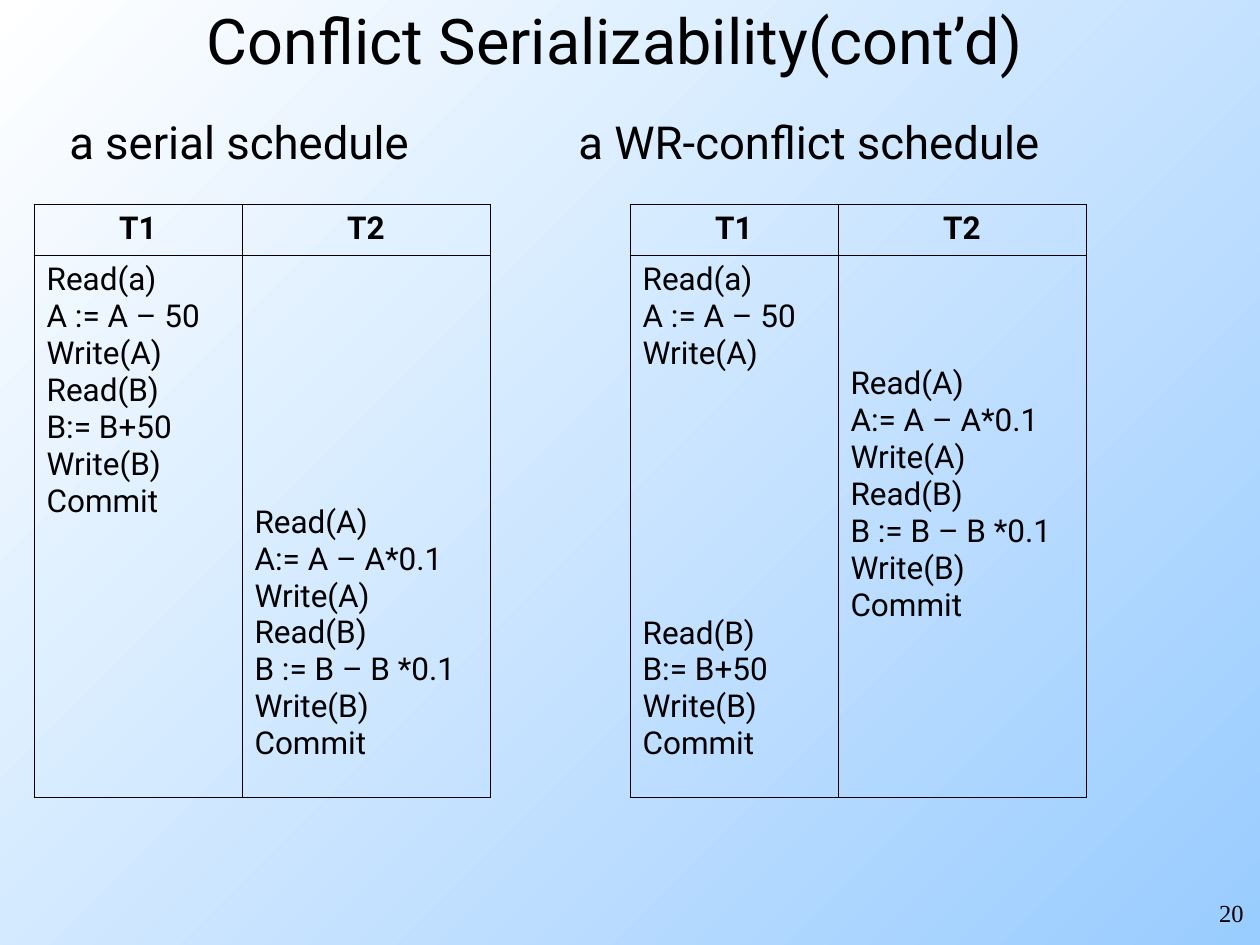
import pptx
import pptx.util
import pptx.dml.color
import pptx.enum.text
import pptx.oxml
import pptx.oxml.ns

Pt = pptx.util.Pt
Align = pptx.enum.text.PP_ALIGN
Anchor = pptx.enum.text.MSO_ANCHOR


def hue(code):
    return pptx.dml.color.RGBColor.from_string(code)


def write(frame, lines, look, align=Align.LEFT):
    for i, line in enumerate(lines):
        para = frame.paragraphs[0] if i == 0 else frame.add_paragraph()
        para.text = line
        para.alignment = align
        for key, value in look.items():
            setattr(para.runs[0].font, key, value)
        para.runs[0].font.color.rgb = hue("000000")


# Slide, with lengths as hundredths of its size
deck = pptx.Presentation()
deck.slide_width = pptx.util.Inches(10)
deck.slide_height = pptx.util.Inches(7.5)
col, row = deck.slide_width / 100, deck.slide_height / 100
slide = deck.slides.add_slide(deck.slide_layouts[5])

# Background runs from white to blue across the diagonal
fill = slide.background.fill
fill.gradient()
fill.gradient_angle = 315
for stop, code in zip(fill.gradient_stops, ("FFFFFF", "99CCFF")):
    stop.color.rgb = hue(code)

# Text formats
big = {"name": "Roboto", "size": Pt(36), "bold": False}
mid = {"name": "Roboto", "size": Pt(26), "bold": False}
body = {"name": "Roboto", "size": Pt(18), "bold": False}
head = {**body, "bold": True}
page = {"name": "Times New Roman", "size": Pt(14), "bold": False}
flush = {"margin_left": 0, "margin_right": 0, "margin_top": 0,
         "margin_bottom": 0, "word_wrap": True}

# Title, headings and page number: shape, place, text, format, alignment
title = slide.shapes.title
texts = [
    (title, (6.3, 0, 85, 8.4), "Conflict Serializability(cont’d)", big, Align.CENTER),
    (None, (5.5, 12.1, 38, 5.7), "a serial schedule", mid, Align.LEFT),
    (None, (45.9, 12.1, 42, 5.7), "a WR-conflict schedule", mid, Align.LEFT),
    (None, (78.9, 94.8, 19.8, 3.5), "20", page, Align.RIGHT),
]
for shape, (x, y, w, h), text, look, align in texts:
    shape = shape or slide.shapes.add_textbox(0, 0, 0, 0)
    place = {"left": x * col, "top": y * row, "width": w * col, "height": h * row}
    for key, value in place.items():
        setattr(shape, key, int(value))
    for key, value in flush.items():
        setattr(shape.text_frame, key, value)
    shape.text_frame.vertical_anchor = Anchor.MIDDLE
    write(shape.text_frame, [text], look, align)

# Steps of the two transactions
first = ["Read(a)", "A := A – 50", "Write(A)",
         "Read(B)", "B:= B+50", "Write(B)", "Commit"]
second = ["Read(A)", "A:= A – A*0.1", "Write(A)",
          "Read(B)", "B := B – B *0.1", "Write(B)", "Commit"]
rest = 19.8  # points of waiting for each step of the other transaction

# Schedules: left edge, steps T2 waits at its start, steps T1 waits before Read(B)
for left, late, pause in ((2.7, 7, 0), (50, 3, 7)):
    frame = slide.shapes.add_table(2, 2, int(left * col), int(21.6 * row),
                                   int(36.2 * col), int(62.8 * row))
    table = frame.table
    table.first_row = table.horz_banding = False
    for part, share in zip(table.columns, (16.5, 19.7)):
        part.width = int(share * col)
    for part, share in zip(table.rows, (5.4, 57.4)):
        part.height = int(share * row)

    for i, (name, steps) in enumerate((("T1", first), ("T2", second))):
        write(table.cell(0, i).text_frame, [name], head, Align.CENTER)
        write(table.cell(1, i).text_frame, steps, body)
    table.cell(1, 0).text_frame.paragraphs[3].space_before = Pt(rest * pause)
    table.cell(1, 1).margin_top = Pt(3.6 + rest * late)

    # Thin black rules around clear cells
    for cell in table.iter_cells():
        props = cell._tc.get_or_add_tcPr()
        for side in ("lnL", "lnR", "lnT", "lnB"):
            props.append(pptx.oxml.parse_xml(
                f'<a:{side} {pptx.oxml.ns.nsdecls("a")} w="{Pt(0.45)}"><a:solidFill>'
                f'<a:srgbClr val="000000"/></a:solidFill></a:{side}>'))
        cell.fill.background()

deck.save("out.pptx")
